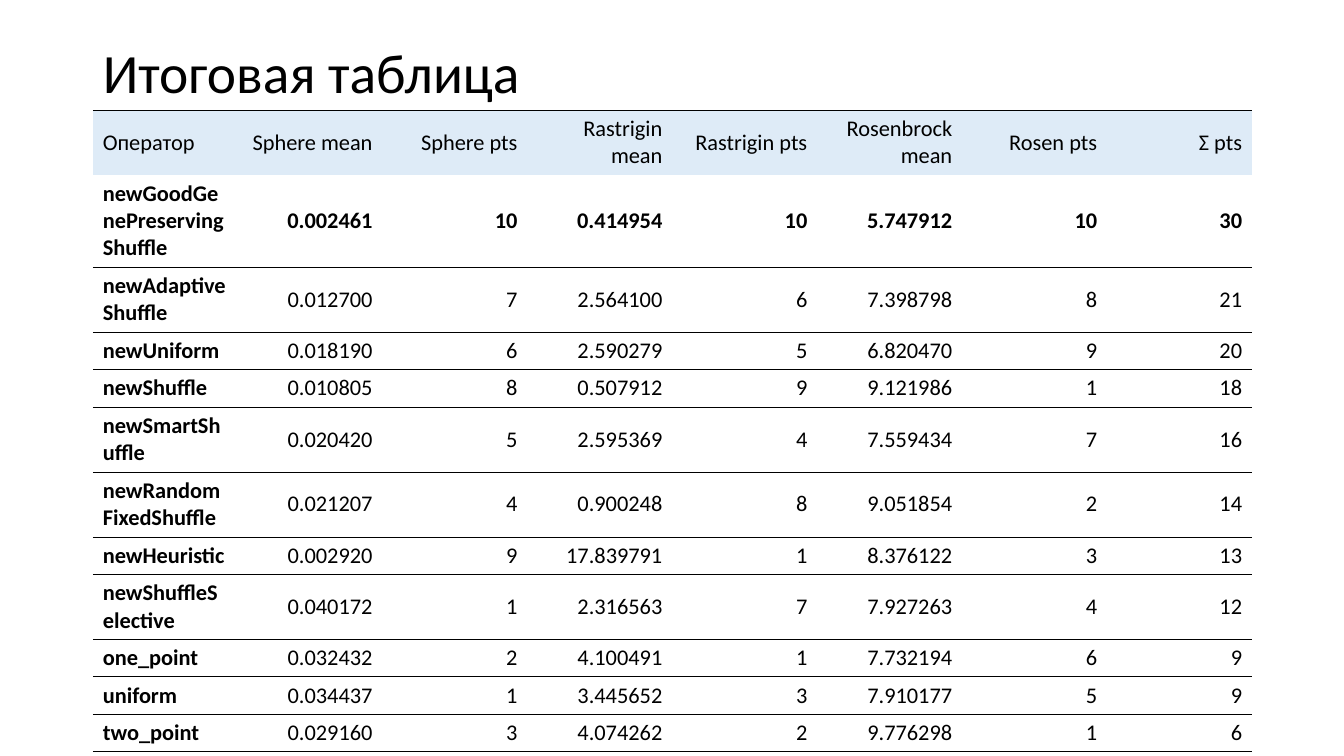
from lxml import etree
from pptx import Presentation
from pptx.dml.color import RGBColor
from pptx.enum.text import MSO_ANCHOR, MSO_AUTO_SIZE, PP_ALIGN
from pptx.oxml.ns import qn
from pptx.util import Inches, Pt

LEFT, RIGHT = PP_ALIGN.LEFT, PP_ALIGN.RIGHT
MIDDLE = MSO_ANCHOR.MIDDLE
NO_AUTOFIT = MSO_AUTO_SIZE.NONE
TITLE_ONLY = 5

COLORS = {"text": "000000", "rule": "000000", "header": "DEEBF7"}

HEADINGS = ["Оператор", "Sphere mean", "Sphere pts", "Rastrigin mean",
            "Rastrigin pts", "Rosenbrock mean", "Rosen pts", "Σ pts"]
RESULTS = [
    ["newGoodGenePreservingShuffle", "0.002461", "10", "0.414954", "10", "5.747912", "10", "30"],
    ["newAdaptiveShuffle", "0.012700", "7", "2.564100", "6", "7.398798", "8", "21"],
    ["newUniform", "0.018190", "6", "2.590279", "5", "6.820470", "9", "20"],
    ["newShuffle", "0.010805", "8", "0.507912", "9", "9.121986", "1", "18"],
    ["newSmartShuffle", "0.020420", "5", "2.595369", "4", "7.559434", "7", "16"],
    ["newRandomFixedShuffle", "0.021207", "4", "0.900248", "8", "9.051854", "2", "14"],
    ["newHeuristic", "0.002920", "9", "17.839791", "1", "8.376122", "3", "13"],
    ["newShuffleSelective", "0.040172", "1", "2.316563", "7", "7.927263", "4", "12"],
    ["one_point", "0.032432", "2", "4.100491", "1", "7.732194", "6", "9"],
    ["uniform", "0.034437", "1", "3.445652", "3", "7.910177", "5", "9"],
    ["two_point", "0.029160", "3", "4.074262", "2", "9.776298", "1", "6"],
]
LINES_PER_ROW = [2, 3, 2, 1, 1, 2, 2, 1, 2, 1, 1, 1]


class SlideBuilder:
    """Holds the slide and its style and adds each kind of element."""

    def __init__(self, slide, font="Calibri"):
        self.slide = slide
        self.font = font

    def format_text(self, paragraph, size, align, bold=False):
        paragraph.alignment = align
        for run in paragraph.runs:
            run.font.name = self.font
            run.font.size = Pt(size)
            run.font.bold = bold
            run.font.color.rgb = RGBColor.from_string(COLORS["text"])

    def title(self, text, left, top, width, height):
        heading = self.slide.shapes.title
        heading.left, heading.top = Inches(left), Inches(top)
        heading.width, heading.height = Inches(width), Inches(height)
        frame = heading.text_frame
        frame.text = text
        frame.auto_size = NO_AUTOFIT
        frame.vertical_anchor = MIDDLE
        frame.paragraphs[0].line_spacing = 0.9
        self.format_text(frame.paragraphs[0], 39.6, LEFT)

    def borders(self, cell, ruled_sides):
        properties = cell._tc.get_or_add_tcPr()
        for position, side in enumerate("LRTB"):
            line = etree.Element(qn(f"a:ln{side}"), w=str(Pt(0.25)))
            if side in ruled_sides:
                fill = etree.SubElement(line, qn("a:solidFill"))
                etree.SubElement(fill, qn("a:srgbClr"), val=COLORS["rule"])
            else:
                etree.SubElement(line, qn("a:noFill"))
            properties.insert(position, line)

    def cell(self, cell, text, row, column):
        cell.text = text
        cell.vertical_anchor = MIDDLE
        bold = row == 1 or (row > 1 and column == 0)
        self.format_text(cell.text_frame.paragraphs[0], 16, RIGHT if column else LEFT, bold)
        if row == 0:
            cell.fill.solid()
            cell.fill.fore_color.rgb = RGBColor.from_string(COLORS["header"])
        else:
            cell.fill.background()
        self.borders(cell, {0: "T", 1: "B"}.get(row, "TB"))

    def table(self, rows, lines_per_row, left, top, width):
        heights = [Inches(0.1 + 0.27 * lines) for lines in lines_per_row]
        table = self.slide.shapes.add_table(
            len(rows), len(rows[0]), Inches(left), Inches(top), Inches(width), sum(heights)).table
        table.first_row = False
        table.horz_banding = False
        for row, (values, height) in enumerate(zip(rows, heights)):
            table.rows[row].height = height
            for column, value in enumerate(values):
                self.cell(table.cell(row, column), value, row, column)


def main():
    deck = Presentation()
    deck.slide_width, deck.slide_height = Inches(13.33), Inches(7.5)
    summary = SlideBuilder(deck.slides.add_slide(deck.slide_layouts[TITLE_ONLY]))
    summary.title("Итоговая таблица", 0.92, 0.4, 11.5, 0.69)
    summary.table([HEADINGS, *RESULTS], LINES_PER_ROW, 0.92, 1.09, 11.5)
    deck.save("out.pptx")


if __name__ == "__main__":
    main()
